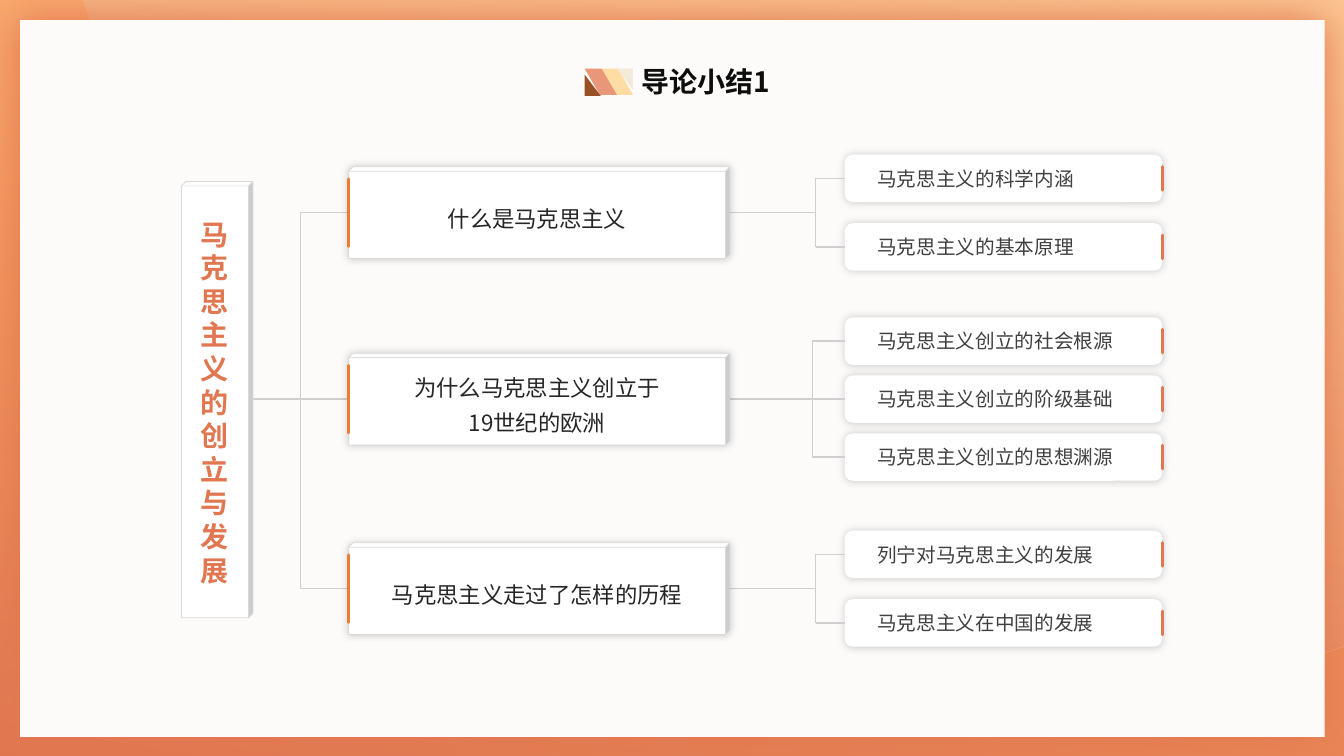
from dataclasses import dataclass

from lxml.etree import SubElement
from pptx import Presentation
from pptx.dml.color import RGBColor
from pptx.enum.shapes import MSO_CONNECTOR as CXN, MSO_SHAPE as SHAPE
from pptx.enum.text import MSO_ANCHOR as ANCHOR, PP_ALIGN as ALIGN
from pptx.oxml.ns import qn
from pptx.util import Inches, Pt


@dataclass(frozen=True)
class Theme:
    font: str = "Noto Sans CJK SC"
    title_size: int = 20
    branch_size: int = 16
    leaf_size: int = 14
    orange: str = "E17751"
    bright: str = "ED7D31"
    deep: str = "FD7201"
    peach: str = "FDD5A6"
    panel: str = "FDFBF9"
    white: str = "FFFFFF"
    edge: str = "D9D9D9"
    link: str = "D0CECE"
    title: str = "0D0D0D"
    branch: str = "262626"
    leaf: str = "404040"
    shadow: str = "000000"
    mark: tuple = ("FEDCA3", "F2EBD9", "E89779", "985125")


T = Theme()
W, H = Inches(13.33), Inches(7.5)

# Shares of the slide's width and height, in percent
ROOT = (13.5, 24, 5.32, 57.73)
ROOT_TRUNK = 22.35
BRANCH_X, BRANCH_W, BRANCH_H = 25.95, 28.35, 12.13
LEAF_X, LEAF_W, LEAF_H = 62.85, 23.63, 6.27
BRANCH_ACCENT, LEAF_ACCENT = 8.93, 3.13

# Middle, trunk position, leaf pitch, branch lines, leaves
BRANCHES = [
    (28.13, 60.7, 9.07, ["什么是马克思主义"],
     ["马克思主义的科学内涵", "马克思主义的基本原理"]),
    (52.8, 60.45, 7.67, ["为什么马克思主义创立于", "19世纪的欧洲"],
     ["马克思主义创立的社会根源", "马克思主义创立的阶级基础", "马克思主义创立的思想渊源"]),
    (77.87, 60.7, 9.07, ["马克思主义走过了怎样的历程"],
     ["列宁对马克思主义的发展", "马克思主义在中国的发展"]),
]


def x(share):
    return round(W * share / 100)


def y(share):
    return round(H * share / 100)


def rgb(color):
    return RGBColor.from_string(color)


def write(s, lines, size, color, bold=False, align=ALIGN.CENTER,
          anchor=ANCHOR.MIDDLE, leading=None):
    tf = s.text_frame
    tf.word_wrap = True
    tf.vertical_anchor = anchor
    for i, line in enumerate(lines):
        p = tf.add_paragraph() if i else tf.paragraphs[0]
        p.alignment = align
        p.space_before = Pt(0)
        if leading:
            p.line_spacing = Pt(leading)
        r = p.add_run()
        r.text = line
        r.font.name, r.font.size, r.font.bold = T.font, Pt(size), bold
        r.font.color.rgb = rgb(color)
        SubElement(r.font._element, qn("a:ea"), typeface=T.font)


def paint(s, fill, line=None):
    s.shadow.inherit = False
    if fill:
        s.fill.solid()
        s.fill.fore_color.rgb = rgb(fill)
    if line:
        s.line.color.rgb = rgb(line)
        s.line.width = Pt(0.5)
    else:
        s.line.fill.background()


def add_box(slide, kind, box, fill, line=None, adj=None):
    left, top, width, height = box
    s = slide.shapes.add_shape(kind, x(left), y(top), x(width), y(height))
    paint(s, fill, line)
    if adj is not None:
        s.adjustments[0] = adj
    return s


def set_alpha(color_element, percent):
    SubElement(color_element, qn("a:alpha"), val=str(percent * 1000))


def cast_shadow(s, color=T.shadow, alpha=20, blur=6, angle=315):
    effects = s._element.spPr.find(qn("a:effectLst"))
    shadow = SubElement(effects, qn("a:outerShdw"), blurRad=str(Pt(blur)), dist="0",
                        dir=str(angle * 60000), algn="ctr", rotWithShape="0")
    set_alpha(SubElement(shadow, qn("a:srgbClr"), val=color), alpha)


def fade(s, start, end):
    """Fill with a gradient whose end colour is half transparent."""
    s.fill.gradient()
    s.fill.gradient_angle = 80
    for stop, color in zip(s.fill.gradient_stops, (start, end)):
        stop.color.rgb = rgb(color)
    set_alpha(s._element.spPr.findall(".//" + qn("a:srgbClr"))[-1], 50)


def add_line(slide, x1, y1, x2, y2, color=T.link, width=1, cap="flat"):
    c = slide.shapes.add_connector(CXN.STRAIGHT, x(x1), y(y1), x(x2), y(y2))
    c.line.color.rgb = rgb(color)
    c.line.width = Pt(width)
    c.line._ln.set("cap", cap)
    SubElement(c._element.spPr, qn("a:effectLst"))
    return c


def add_accent(slide, left, middle, length, color):
    add_line(slide, left, middle - length / 2, left, middle + length / 2,
             color, width=2, cap="rnd")


def curve(start, c1, c2, end, steps=24):
    """Points along a cubic curve, without its start."""
    for i in range(1, steps + 1):
        t = i / steps
        u = 1 - t
        yield tuple(u**3 * a + 3 * u * u * t * b + 3 * u * t * t * c + t**3 * d
                    for a, b, c, d in zip(start, c1, c2, end))


def add_background(slide):
    fade(add_box(slide, SHAPE.RECTANGLE, (0, 0, 100, 100), None), T.orange, T.deep)
    corner, low, side = (98.65, 86.13), (76.67, 92), (7.35, 5.87)
    outline = [(100, 0), (100, 85.33), corner,
               *curve(corner, (91.67, 90), (84.32, 92), low),
               *curve(low, (44.79, 92), (17.7, 56.13), side)]
    wave = slide.shapes.build_freeform(x(6.23), 0)
    wave.add_line_segments([(x(px), y(py)) for px, py in outline])
    s = wave.convert_to_shape()
    paint(s, None)
    fade(s, T.orange, T.peach)
    panel = add_box(slide, SHAPE.RECTANGLE, (1.5, 2.67, 97.07, 94.8), T.panel)
    cast_shadow(panel, T.orange, alpha=100, blur=30, angle=0)


def add_title(slide, text):
    s = slide.shapes.title
    s.left, s.top, s.width, s.height = x(46.95), y(7.87), x(16.95), y(10.27)
    write(s, [text], T.title_size, T.title, bold=True, align=ALIGN.LEFT,
          anchor=ANCHOR.TOP, leading=24)
    band, wedge = (2.4, 3.47), (1.2, 2.8)
    pieces = [(SHAPE.PARALLELOGRAM, 44.7, 9.07, band, 0.585, "flipH"),
              (SHAPE.RIGHT_TRIANGLE, 45.9, 9.07, wedge, None, "flipH flipV"),
              (SHAPE.PARALLELOGRAM, 43.5, 9.07, band, 0.585, "flipH"),
              (SHAPE.RIGHT_TRIANGLE, 43.5, 9.87, wedge, None, "")]
    for (kind, left, top, size, adj, flips), color in zip(pieces, T.mark):
        piece = add_box(slide, kind, (left, top, *size), color, adj=adj)
        for flip in flips.split():
            piece._element.spPr.xfrm.set(flip, "1")


def add_root(slide, lines):
    middles = [branch[0] for branch in BRANCHES]
    add_line(slide, ROOT_TRUNK, middles[0], ROOT_TRUNK, middles[-1])
    add_line(slide, ROOT[0] + ROOT[2], middles[1], ROOT_TRUNK, middles[1])
    s = add_box(slide, SHAPE.CUBE, ROOT, T.white, T.edge, adj=0.063)
    write(s, lines, T.title_size, T.orange, bold=True, leading=24)


def add_leaf(slide, text, middle, trunk):
    s = add_box(slide, SHAPE.ROUNDED_RECTANGLE,
                (LEAF_X, middle - LEAF_H / 2, LEAF_W, LEAF_H), T.white)
    cast_shadow(s)
    s.text_frame.margin_left = x(2.25)
    write(s, [text], T.leaf_size, T.leaf, align=ALIGN.LEFT)
    add_line(slide, trunk, middle, LEAF_X, middle).end_connect(s, 1)
    add_accent(slide, LEAF_X + LEAF_W, middle, LEAF_ACCENT, T.orange)


def add_branch(slide, middle, trunk, pitch, lines, leaves):
    add_line(slide, ROOT_TRUNK, middle, BRANCH_X, middle)
    add_line(slide, BRANCH_X + BRANCH_W, middle, trunk, middle)
    s = add_box(slide, SHAPE.CUBE, (BRANCH_X, middle - BRANCH_H / 2, BRANCH_W, BRANCH_H),
                T.white, T.edge, adj=0.048)
    cast_shadow(s)
    write(s, lines, T.branch_size, T.branch, leading=25)
    add_accent(slide, BRANCH_X, middle, BRANCH_ACCENT, T.bright)
    reach = pitch * (len(leaves) - 1) / 2
    add_line(slide, trunk, middle - reach, trunk, middle + reach)
    for i, leaf in enumerate(leaves):
        add_leaf(slide, leaf, middle - reach + i * pitch, trunk)


def main():
    prs = Presentation()
    prs.slide_width, prs.slide_height = W, H
    slide = prs.slides.add_slide(prs.slide_layouts[5])
    add_background(slide)
    add_title(slide, "导论小结1")
    tree = slide.shapes._spTree
    tree.append(slide.shapes.title._element)
    add_root(slide, ["马克思主义的", "创立与发展"])
    for branch in BRANCHES:
        add_branch(slide, *branch)
    prs.save("out.pptx")


if __name__ == "__main__":
    main()
